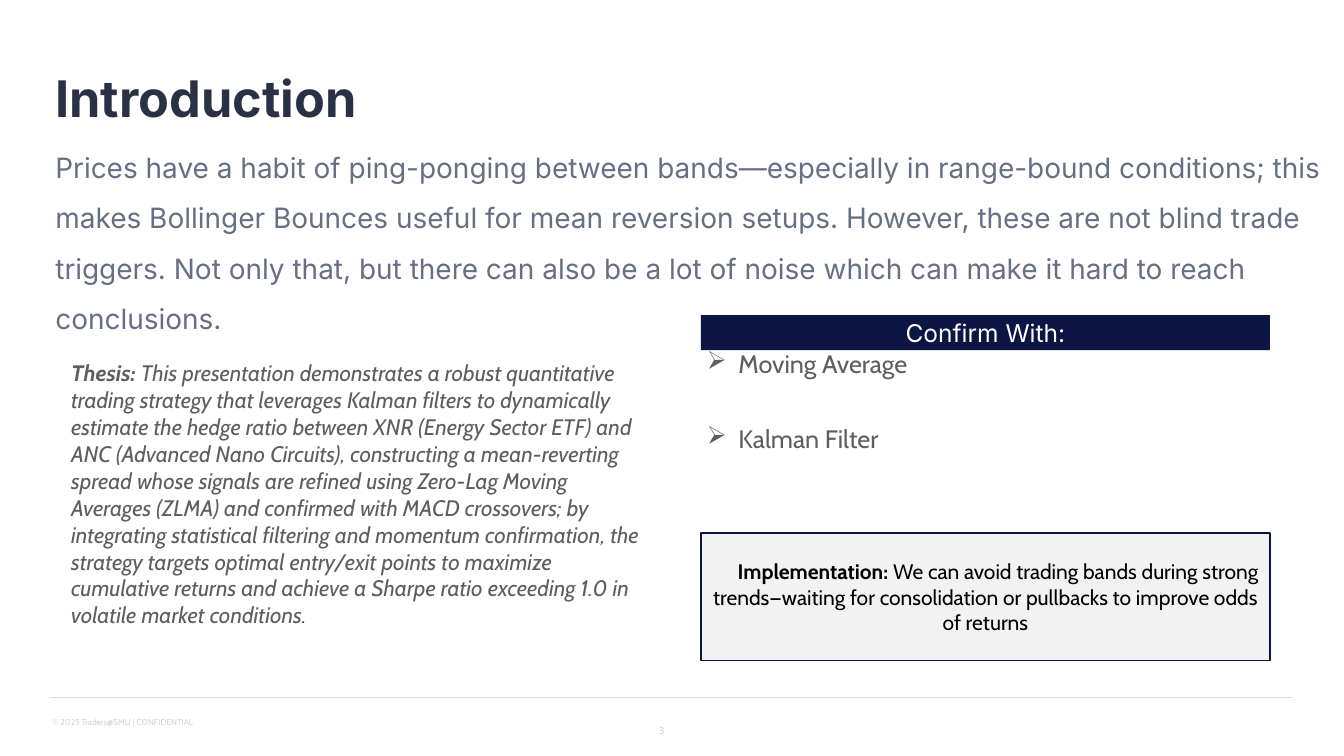
from pptx import Presentation
from pptx.dml.color import RGBColor
from pptx.enum.shapes import MSO_CONNECTOR, MSO_SHAPE
from pptx.enum.text import MSO_ANCHOR, MSO_AUTO_SIZE, PP_ALIGN
from pptx.oxml.ns import qn
from pptx.util import Emu, Pt
from lxml import etree

LEFT, CENTER, JUSTIFY = PP_ALIGN.LEFT, PP_ALIGN.CENTER, PP_ALIGN.JUSTIFY
TOP, MIDDLE = MSO_ANCHOR.TOP, MSO_ANCHOR.MIDDLE
NO_FIT = MSO_AUTO_SIZE.NONE
RECT, STRAIGHT = MSO_SHAPE.RECTANGLE, MSO_CONNECTOR.STRAIGHT
EMU_PER_PX = 9525
MARGIN = 96
PANEL_X, PANEL_W = 1335, 1084

TITLE = dict(name="Inter", size=Pt(72), bold=True, color="2B3145")
LEAD = dict(name="Inter", size=Pt(40), color="667085")
HEADER = dict(name="Inter", size=Pt(35), color="FFFFFF")
BULLET = dict(name="Cabin", size=Pt(36), color="5E5E5E")
THESIS = dict(name="Cabin", size=Pt(32), italic=True, color="5E5E5E")
CALLOUT = dict(name="Cabin", size=Pt(30), color="000000")
FOOTER = dict(name="Cabin", size=Pt(12), color="D3D3D3")
NUMBER = dict(FOOTER, size=Pt(14))


def px(n):
    return Emu(n * EMU_PER_PX)


def rgb(value):
    return RGBColor.from_string(value)


class SlideBuilder:
    def __init__(self, prs):
        self.s = prs.slides.add_slide(prs.slide_layouts[5])

    def fill_text(self, sp, paragraphs, style, anchor=TOP, align=LEFT, spacing=1.0,
                  indent=0, hanging=0, bullet=None):
        tf = sp.text_frame
        frame = dict(word_wrap=True, auto_size=NO_FIT, vertical_anchor=anchor)
        for key, value in frame.items():
            setattr(tf, key, value)
        for i, runs in enumerate(paragraphs):
            p = tf.add_paragraph() if i else tf.paragraphs[0]
            p.alignment, p.line_spacing, p.space_before = align, spacing, Pt(0)
            pPr = p._p.get_or_add_pPr()
            pPr.set("marL", str(px(hanging)))
            pPr.set("indent", str(px(indent - hanging)))
            if bullet:
                etree.SubElement(pPr, qn("a:buChar")).set("char", bullet)
            for text, bold in runs:
                r = p.add_run()
                r.text = text
                for key, value in dict(style, bold=bold or style.get("bold", False)).items():
                    if key == "color":
                        r.font.color.rgb = rgb(value)
                    else:
                        setattr(r.font, key, value)
        return sp

    def title(self, box, text):
        sp = self.s.shapes.title
        for key, value in zip(("left", "top", "width", "height"), box):
            setattr(sp, key, px(value))
        return self.fill_text(sp, [[(text, True)]], TITLE, anchor=MIDDLE, spacing=0.9)

    def text(self, box, paragraphs, style, **layout):
        sp = self.s.shapes.add_textbox(*map(px, box))
        return self.fill_text(sp, paragraphs, style, **layout)

    def panel(self, box, paragraphs, style, fill, line=None, **layout):
        sp = self.s.shapes.add_shape(RECT, *map(px, box))
        sp.shadow.inherit = False
        sp.fill.solid()
        sp.fill.fore_color.rgb = rgb(fill)
        if line:
            sp.line.color.rgb = rgb(line)
            sp.line.width = Pt(2.25)
        else:
            sp.line.fill.background()
        return self.fill_text(sp, paragraphs, style, anchor=MIDDLE, align=CENTER, **layout)

    def rule(self, x1, x2, y, color):
        line = self.s.shapes.add_connector(STRAIGHT, px(x1), px(y), px(x2), px(y))
        line.line.color.rgb = rgb(color)
        line.line.width = Pt(1)
        etree.SubElement(line._element.spPr, qn("a:effectLst"))


def main():
    prs = Presentation()
    prs.slide_width, prs.slide_height = px(2560), px(1440)
    b = SlideBuilder(prs)

    footer = b.text((MARGIN, 1362, 776, 29),
                    [[("© 2025 Traders@SMU | CONFIDENTIAL", False)]], FOOTER)
    footer.text_frame.margin_left = px(4)
    b.rule(MARGIN, 2461, 1329, "D9D9D9")
    b.title((MARGIN, 120, 2208, 144), "Introduction")
    b.text((MARGIN, 250, 2464, 343), [[(
        "Prices have a habit of ping-ponging between bands—especially in range-bound "
        "conditions; this makes Bollinger Bounces useful for mean reversion setups. "
        "However, these are not blind trade triggers. Not only that, but there can also "
        "be a lot of noise which can make it hard to reach conclusions.", False)]],
        LEAD, spacing=1.5)
    b.text((1246, 1371, 66, 43), [[("3", False)]], NUMBER, anchor=MIDDLE)
    b.panel((PANEL_X, 600, PANEL_W, 67), [[("Confirm With:", False)]], HEADER, "0C1543")
    b.text((1337, 572, 547, 365),
           [[(name, False)] for name in ("Moving Average", "Kalman Filter")],
           BULLET, align=JUSTIFY, spacing=2.5, hanging=60, bullet="➢")
    b.panel((PANEL_X, 1015, PANEL_W, 243), [[
        ("Implementation: ", True),
        ("We can avoid trading bands during strong trends—waiting for consolidation "
         "or pullbacks to improve odds of returns", False)]],
        CALLOUT, "F2F2F2", line="0C1542", indent=48)
    b.text((126, 680, 1116, 578), [[
        ("Thesis:", True),
        (" This presentation demonstrates a robust quantitative trading strategy that "
         "leverages Kalman filters to dynamically estimate the hedge ratio between XNR "
         "(Energy Sector ETF) and ANC (Advanced Nano Circuits), constructing a "
         "mean-reverting spread whose signals are refined using Zero-Lag Moving Averages "
         "(ZLMA) and confirmed with MACD crossovers; by integrating statistical filtering "
         "and momentum confirmation, the strategy targets optimal entry/exit points to "
         "maximize cumulative returns and achieve a Sharpe ratio exceeding 1.0 in "
         "volatile market conditions.", False)]], THESIS)
    prs.save("out.pptx")


if __name__ == "__main__":
    main()
